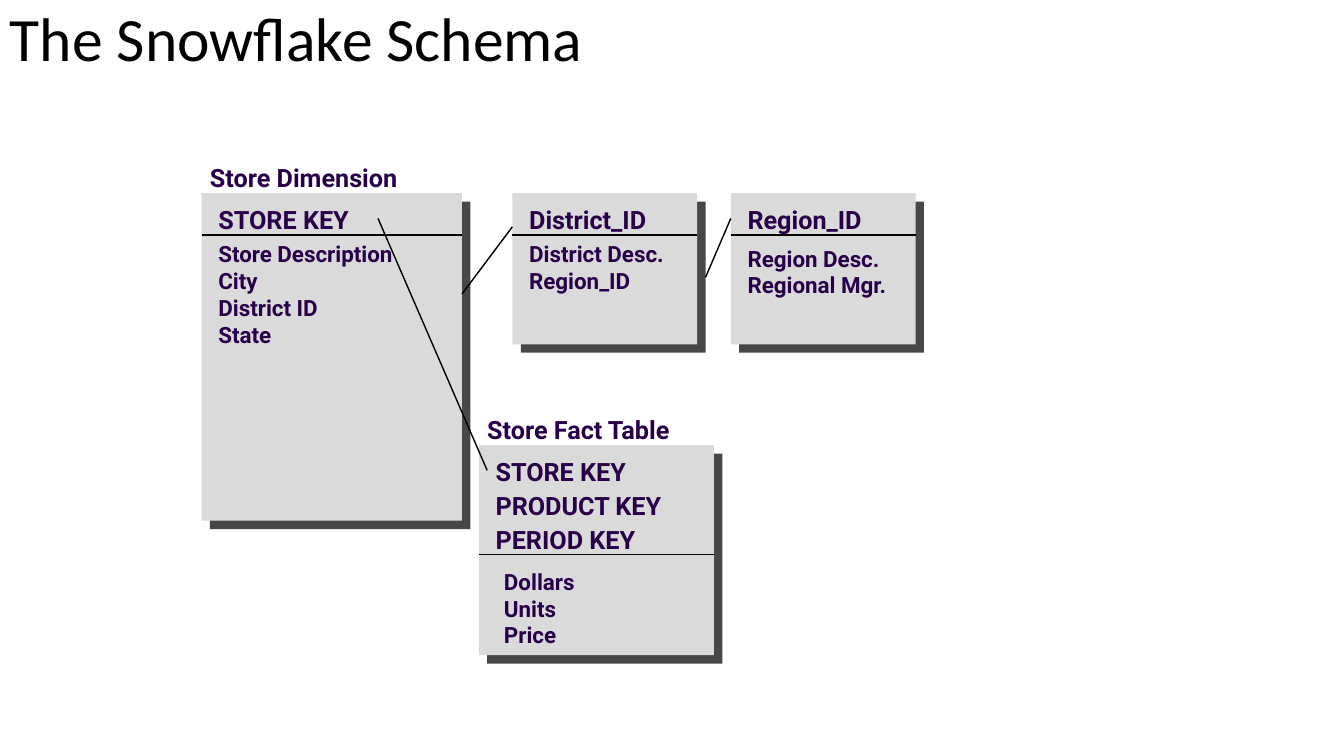
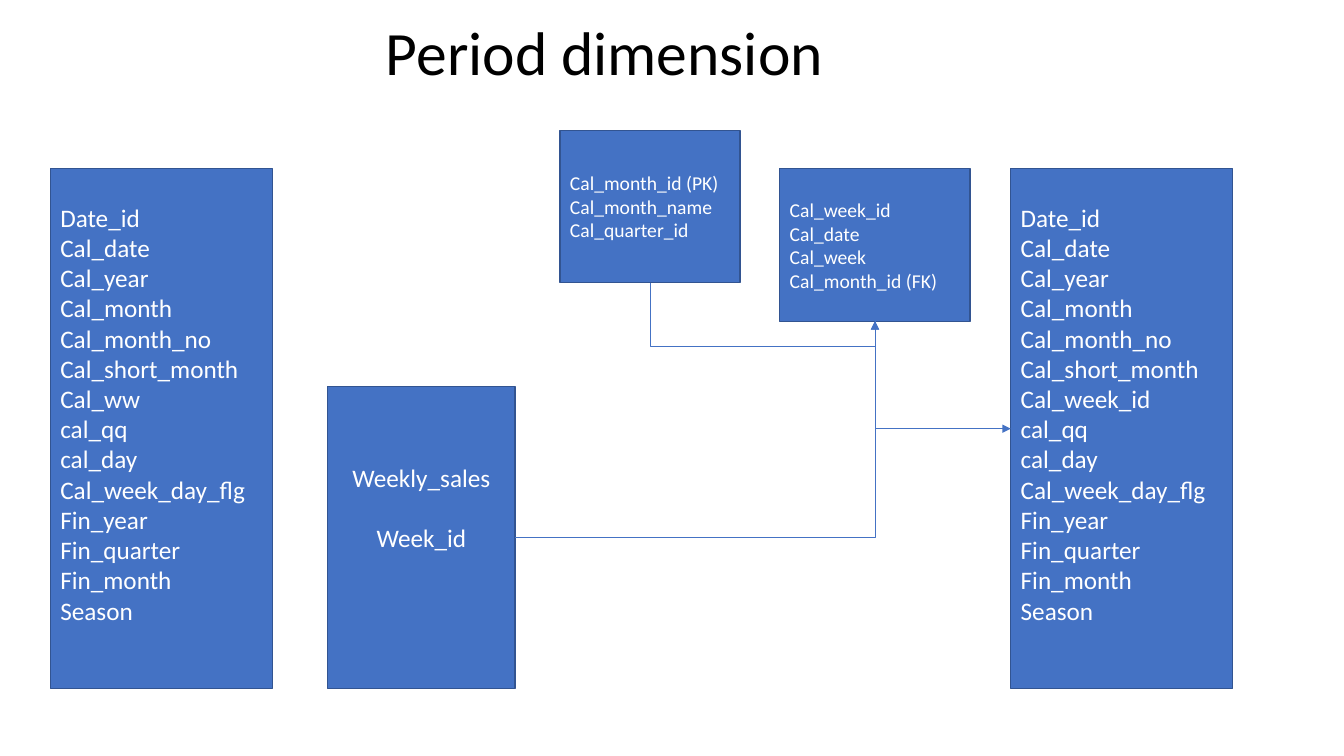
from lxml import etree
from pptx import Presentation
from pptx.dml.color import RGBColor
from pptx.enum import shapes, text
from pptx.oxml import ns
from pptx.util import Pt

COLORS = {
    "title": "000000", "rule": "000000",
    "table": "DADADA", "shadow": "474747", "ink": "280049",
    "entity": "4472C4", "outline": "325491", "entity_text": "FFFFFF",
}
TITLE_FONT, SCHEMA_FONT = "Calibri", "Roboto"
TITLE_HEIGHT = 57
LINE_HEIGHT = 21.6  # one 18 pt line of the entity font
ALIGN = text.PP_ALIGN


def rgb(name):
    return RGBColor.from_string(COLORS[name])


def add_xml(parent, tag, **attributes):
    return etree.SubElement(parent, ns.qn(tag), **attributes)


# ---- Shared parts ----
def write_text(shape, lines, size, color, font=TITLE_FONT, bold=False, align=ALIGN.LEFT,
               anchor=text.MSO_ANCHOR.TOP, margins=(7.2, 3.6, 7.2, 3.6), gap=0, spacing=None):
    frame = shape.text_frame
    frame.word_wrap = True
    frame.vertical_anchor = anchor
    (frame.margin_left, frame.margin_top,
     frame.margin_right, frame.margin_bottom) = map(Pt, margins)
    for index, line in enumerate(lines):
        paragraph = frame.paragraphs[0] if index == 0 else frame.add_paragraph()
        paragraph.alignment = align
        paragraph.line_spacing = spacing
        if index and gap:
            paragraph.space_before = Pt(gap)
        run = paragraph.add_run()
        run.text = line
        run.font.name, run.font.size, run.font.bold = font, Pt(size), bold
        run.font.color.rgb = rgb(color)


def add_text(slide, box, lines, size, color, **formats):
    shape = slide.shapes.add_textbox(*map(Pt, box))
    write_text(shape, lines, size, color, **formats)


def add_title(slide, title, top, width, align=ALIGN.LEFT):
    add_text(slide, (0, top, width, TITLE_HEIGHT), [title], 44, "title", align=align,
             anchor=text.MSO_ANCHOR.MIDDLE, spacing=0.9)


def add_rectangle(slide, box, fill, outline=None):
    shape = slide.shapes.add_shape(shapes.MSO_SHAPE.RECTANGLE, *map(Pt, box))
    shape.fill.solid()
    shape.fill.fore_color.rgb = rgb(fill)
    if outline:
        shape.line.color.rgb = rgb(outline)
        shape.line.width = Pt(1)
    else:
        shape.line.fill.background()
    shape.shadow.inherit = False
    return shape


def add_line(slide, start, end, color="rule", width=1, kind=shapes.MSO_CONNECTOR.STRAIGHT):
    connector = slide.shapes.add_connector(kind, *map(Pt, (*start, *end)))
    connector.line.color.rgb = rgb(color)
    connector.line.width = Pt(width)
    add_xml(connector.element.spPr, "a:effectLst")
    return connector


# ---- Snowflake schema tables ----
def add_schema_table(slide, box, keys, attributes, caption=None, offset=(8.4, 0)):
    left, top, width, height = box
    divider = top + 6 + 24 * len(keys)
    table = add_rectangle(slide, box, "table")
    effects = table.element.spPr.find(ns.qn("a:effectLst"))
    shadow = add_xml(effects, "a:outerShdw", dist=str(Pt(8.5)), dir="2700000",
                     algn="ctr", rotWithShape="0")
    add_xml(shadow, "a:srgbClr", val=COLORS["shadow"])
    add_line(slide, (left, divider), (left + width, divider))

    style = dict(color="ink", font=SCHEMA_FONT, bold=True, margins=(3.6,) * 4)
    if caption:
        add_text(slide, (left + 2.4, top - 25.7, width, 29), [caption], 18, **style)
    add_text(slide, (left + 8.4, top + 4.3, width - 8.4, 24 * len(keys) + 5),
             keys, 18, gap=2.9, **style)
    indent, drop = offset
    add_text(slide, (left + indent, divider + drop, width - indent, 19 * len(attributes) + 8),
             attributes, 16, **style)


def build_snowflake_slide(slide):
    add_title(slide, "The Snowflake Schema", 1.5, 960)
    add_schema_table(slide, (144, 138, 186, 234), ["STORE KEY"],
                     ["Store Description", "City", "District ID", "State"], "Store Dimension")
    add_schema_table(slide, (366, 138, 132, 108), ["District_ID"],
                     ["District Desc.", "Region_ID"])
    add_schema_table(slide, (522, 138, 132, 108), ["Region_ID"],
                     ["Region Desc.", "Regional Mgr."], offset=(8.4, 3.2))
    add_schema_table(slide, (342, 318, 168, 150), ["STORE KEY", "PRODUCT KEY", "PERIOD KEY"],
                     ["Dollars", "Units", "Price"], "Store Fact Table", offset=(14.4, 6))
    # Links between keys
    for start, end in [((270, 156), (348, 336)), ((504, 198), (522, 156)),
                       ((330, 210), (366, 162))]:
        add_line(slide, start, end)


# ---- Period dimension entities ----
def add_entity(slide, box, fields, size=18, align=ALIGN.LEFT, gap=0, lift=0):
    """Fields are centred vertically, raised by half of lift."""
    shape = add_rectangle(slide, box, "entity", "outline")
    write_text(shape, fields, size, "entity_text", align=align, gap=gap,
               anchor=text.MSO_ANCHOR.MIDDLE, margins=(7.2, 3.6, 7.2, 3.6 + lift))


def add_date_entity(slide, left, week_field):
    fields = ["Date_id", "Cal_date", "Cal_year", "Cal_month", "Cal_month_no",
              "Cal_short_month", week_field, "cal_qq", "cal_day", "Cal_week_day_flg",
              "Fin_year", "Fin_quarter", "Fin_month", "Season"]
    add_entity(slide, (left, 120.5, 158.5, 371.5), fields, lift=LINE_HEIGHT)


def add_elbow(slide, start, end, down_first=False, bend=None):
    """Arrow with one corner, or with a crossbar bend points below its start."""
    (x1, y1), (x2, y2) = start, end
    if down_first:  # a quarter turn swaps the sides of the frame about its centre
        middle_x, middle_y = (x1 + x2) / 2, (y1 + y2) / 2
        half_width, half_height = (y2 - y1) / 2, (x2 - x1) / 2
        start = (middle_x + half_width, middle_y - half_height)
        end = (middle_x - half_width, middle_y + half_height)
    connector = add_line(slide, start, end, "entity", 0.5, shapes.MSO_CONNECTOR.ELBOW)
    properties = connector.element.spPr
    if down_first:
        properties.find(ns.qn("a:xfrm")).set("rot", str(270 * 60000))
    geometry = properties.find(ns.qn("a:prstGeom"))
    if bend is None:
        geometry.set("prst", "bentConnector2")
    else:
        guides = geometry.find(ns.qn("a:avLst"))
        if guides is None:
            guides = add_xml(geometry, "a:avLst")
        ratio = round(bend / (y2 - y1) * 100000)
        add_xml(guides, "a:gd", name="adj1", fmla=f"val {ratio}")
    add_xml(properties.find(ns.qn("a:ln")), "a:tailEnd", type="triangle")


def build_period_slide(slide):
    add_title(slide, "Period dimension", 11.5, 864, ALIGN.CENTER)
    add_date_entity(slide, 36, "Cal_ww")
    add_date_entity(slide, 722, "Cal_week_id")
    add_entity(slide, (557, 120.5, 136, 109), ["Cal_week_id", "Cal_date", "Cal_week",
                                               "Cal_month_id (FK)"], 14)
    add_entity(slide, (400, 93, 128.5, 109), ["Cal_month_id (PK)", "Cal_month_name",
                                              "Cal_quarter_id"], 14)
    add_entity(slide, (234, 276, 134, 216), ["Weekly_sales", "Week_id"], align=ALIGN.CENTER,
               gap=LINE_HEIGHT, lift=2 * LINE_HEIGHT)
    # Relations meeting below the week entity
    week = (625, 229.5)
    add_elbow(slide, (464.25, 202), week, down_first=True, bend=45.5)
    add_elbow(slide, week, (722, 306.25), down_first=True)
    add_elbow(slide, (368, 384), week)


def main():
    presentation = Presentation()
    presentation.slide_width, presentation.slide_height = Pt(960), Pt(540)
    blank = presentation.slide_layouts[6]
    for build in (build_snowflake_slide, build_period_slide):
        build(presentation.slides.add_slide(blank))
    presentation.save("out.pptx")


if __name__ == "__main__":
    main()
